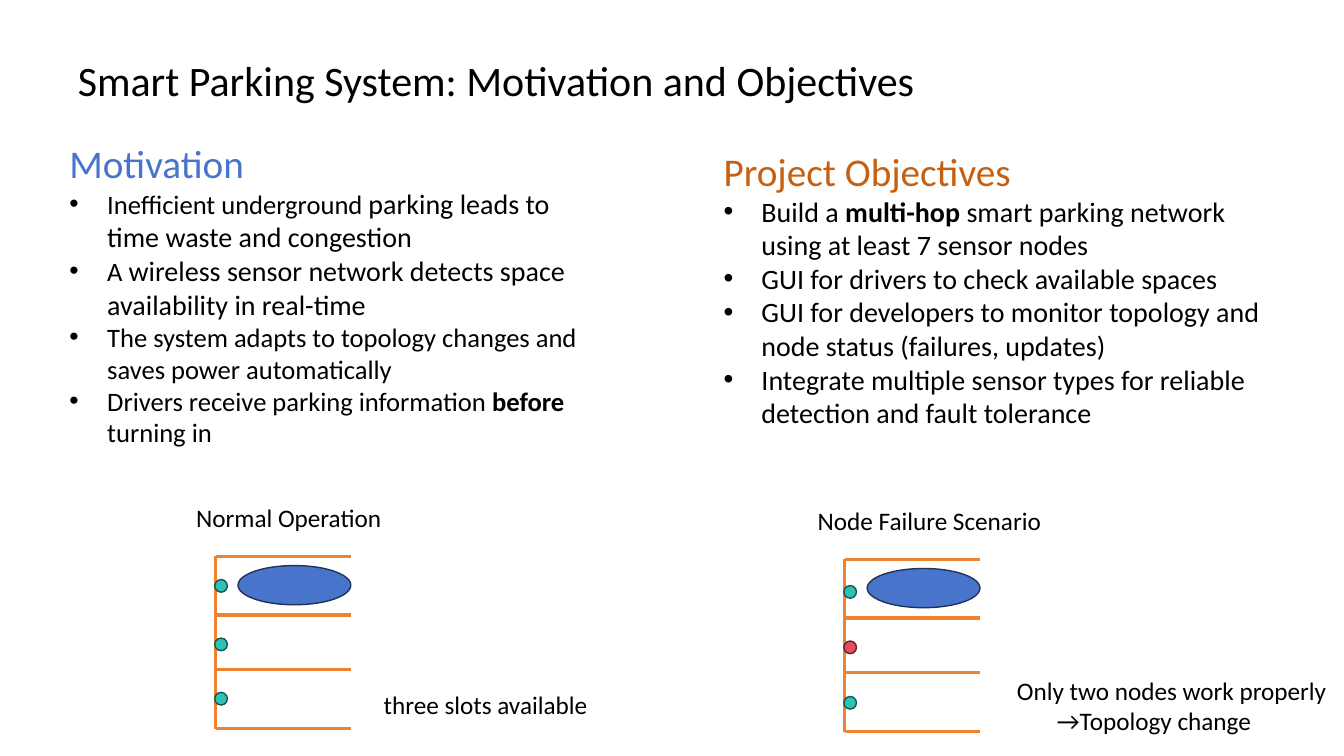
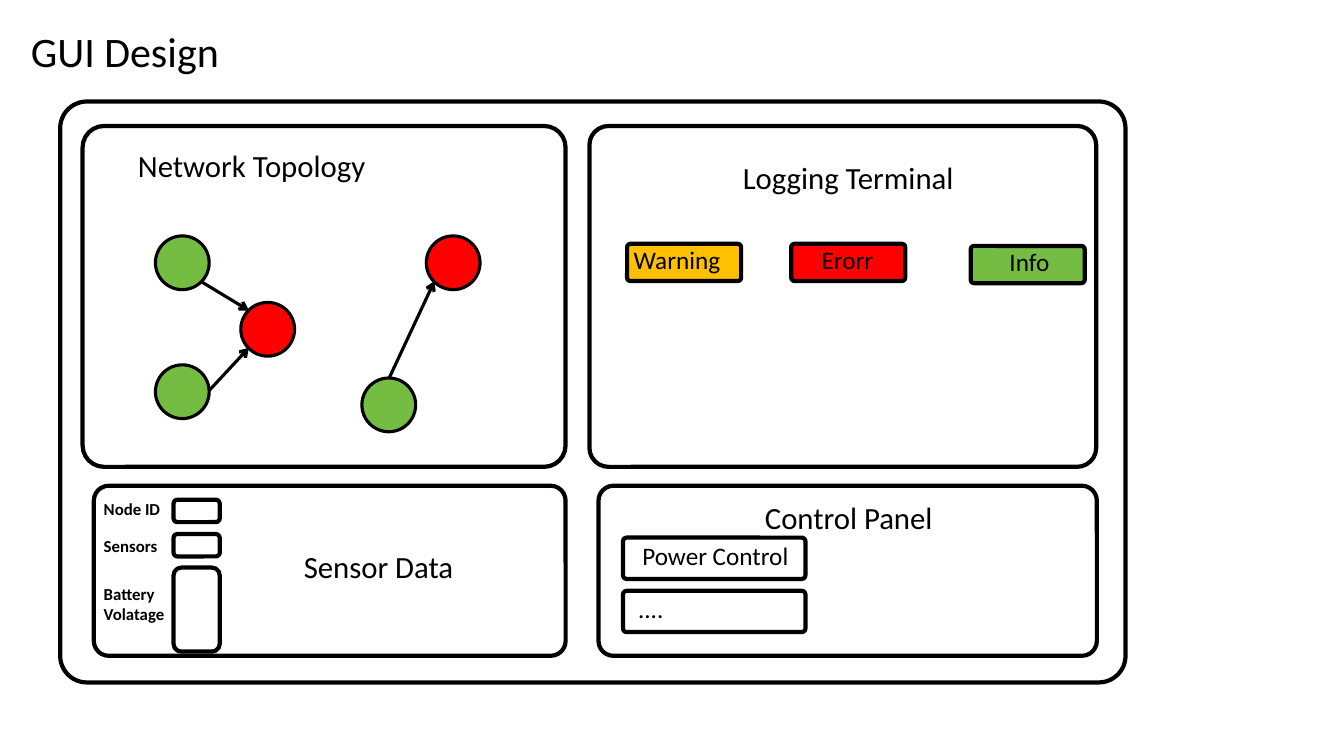
from lxml.etree import SubElement
from pptx import Presentation
from pptx.dml.color import RGBColor
from pptx.enum.shapes import MSO_CONNECTOR, MSO_SHAPE
from pptx.enum.text import MSO_ANCHOR, PP_ALIGN
from pptx.oxml.ns import qn
from pptx.util import Pt

BLACK = RGBColor(0x00, 0x00, 0x00)
BLUE = RGBColor(0x48, 0x74, 0xCB)
NAVY = RGBColor(0x20, 0x33, 0x59)
RUST = RGBColor(0xC6, 0x5F, 0x10)
ORANGE = RGBColor(0xEE, 0x82, 0x2F)
TEAL = RGBColor(0x30, 0xC0, 0xB4)
PINE = RGBColor(0x15, 0x54, 0x4F)
ROSE = RGBColor(0xE5, 0x4C, 0x5E)
WINE = RGBColor(0x64, 0x21, 0x29)
GREEN = RGBColor(0x75, 0xBD, 0x42)
RED = RGBColor(0xFF, 0x00, 0x00)
AMBER = RGBColor(0xFF, 0xC0, 0x00)
FONT = "Calibri"
ROUND = MSO_SHAPE.ROUNDED_RECTANGLE
OVAL = MSO_SHAPE.OVAL


def write(slide, words, x, y, w, h, size, color=BLACK, bold=False):
    box = slide.shapes.add_textbox(Pt(x), Pt(y), Pt(w), Pt(h))
    frame = box.text_frame
    frame.word_wrap = True
    frame.text = words
    for para in frame.paragraphs:
        for run in para.runs:
            run.font.name = FONT
            run.font.size = Pt(size)
            run.font.bold = bold
            run.font.color.rgb = color
    return frame


def draw(slide, kind, x, y, w, h, fill=None, edge=BLACK, width=3, bend=None):
    shape = slide.shapes.add_shape(kind, Pt(x), Pt(y), Pt(w), Pt(h))
    shape.shadow.inherit = False
    if fill is None:
        shape.fill.background()
    else:
        shape.fill.solid()
        shape.fill.fore_color.rgb = fill
    shape.line.color.rgb = edge
    shape.line.width = Pt(width)
    if bend is not None:
        shape.adjustments[0] = bend
    return shape


deck = Presentation()
deck.slide_width = Pt(960)
deck.slide_height = Pt(540)
goals = deck.slides.add_slide(deck.slide_layouts[6])
design = deck.slides.add_slide(deck.slide_layouts[6])

for slide, words, x, y in [
    (goals, "Smart Parking System: Motivation and Objectives", 48.5, 35.3),
    (design, "GUI Design", 15, 15),
]:
    write(slide, words, x, y, 680, 43, 30)

lots = [
    (154, 397.5, [(16.5, TEAL, PINE), (58.3, TEAL, PINE), (97.1, TEAL, PINE)]),
    (603.4, 399.6, [(18.7, TEAL, PINE), (58.3, ROSE, WINE), (97.9, TEAL, PINE)]),
]
lines = []
for x, y, dots in lots:
    for drop in (0, 41.8, 80.6, 123):
        lines.append((goals, x, y + drop, x + 96.5, y + drop, ORANGE))
    lines.append((goals, x, y, x, y + 123, ORANGE))
lines += [
    (design, 143.3, 200.9, 177.8, 221.8, BLACK),
    (design, 149, 279.4, 177.8, 248.4, BLACK),
    (design, 278, 270, 310.3, 200.9, BLACK),
]
for slide, x, y, right, low, color in lines:
    link = slide.shapes.add_connector(
        MSO_CONNECTOR.STRAIGHT, Pt(x), Pt(y), Pt(right), Pt(low))
    link.line.color.rgb = color
    link.line.width = Pt(2.25)
    props = link._element.spPr
    if slide is design:
        SubElement(props.find(qn("a:ln")), qn("a:tailEnd"), type="arrow")
    SubElement(props, qn("a:effectLst"))

for x, y, dots in lots:
    draw(goals, OVAL, x + 16, y + 6.5, 80.6, 28, BLUE, NAVY, 1)
    for drop, fill, edge in dots:
        draw(goals, OVAL, x - 0.6, y + drop, 9, 9, fill, edge, 1)

topics = [
    ("Motivation", BLUE, 42.5, 95.8, 384, 254, [
        [("Inefficient underground ", 19, False),
         ("parking leads to time waste and congestion", 20, False)],
        [("A ", 19, False),
         ("wireless sensor network detects space availability in real-time", 20, False)],
        [("The system adapts to topology changes and saves power automatically", 19, False)],
        [("Drivers receive parking information ", 19, False),
         ("before", 19, True), (" turning in", 19, False)],
    ]),
    ("Project Objectives", RUST, 509.8, 101.5, 403, 211, [
        [("Build a ", 20, False), ("multi-hop ", 20, True),
         ("smart parking network using at least 7 sensor nodes", 20, False)],
        [("GUI for drivers to check available spaces", 20, False)],
        [("GUI for developers to monitor topology and node status (failures, updates)", 20, False)],
        [("Integrate multiple sensor types for reliable detection and fault tolerance", 20, False)],
    ]),
]
for head, color, x, y, w, h, points in topics:
    frame = write(goals, head, x, y, w, h, 28, color)
    for parts in points:
        para = frame.add_paragraph()
        props = para._p.get_or_add_pPr()
        props.set("marL", str(Pt(27)))
        props.set("indent", str(-Pt(27)))
        SubElement(props, qn("a:buFont"), typeface="Arial")
        SubElement(props, qn("a:buChar"), char="•")
        for words, size, bold in parts:
            run = para.add_run()
            run.text = words
            run.font.name = FONT
            run.font.size = Pt(size)
            run.font.bold = bold
            run.font.color.rgb = BLACK

for words, x, y, w in [
    ("Normal Operation", 133, 355.5, 165),
    ("Node Failure Scenario", 577, 357.3, 197),
    ("three slots available", 267, 489, 165),
]:
    write(goals, words, x, y, w, 29, 18)
frame = write(goals, "Only two nodes work properly\n→Topology change", 719.3, 479, 240, 51, 18)
frame.word_wrap = False
frame.paragraphs[1]._p.get_or_add_pPr().set("marL", str(Pt(28.6)))

for x, y, w, h, bend in [
    (43, 72.5, 761, 415, 0.046),
    (59, 90, 345, 243.5, 0.063),
    (421, 90, 362, 243.5, 0.056),
    (67, 347, 337, 121.5, 0.088),
    (427.5, 347, 356, 121.5, 0.088),
]:
    draw(design, ROUND, x, y, w, h, bend=bend)

for words, x, y in [
    ("Network Topology", 91.5, 101),
    ("Logging Terminal", 523.5, 110),
    ("Sensor Data", 210, 388),
    ("Control Panel", 539.3, 353),
]:
    write(design, words, x, y, 200, 39, 22)

for x, y, fill in [
    (111, 168.5, GREEN),
    (111, 260.6, GREEN),
    (172, 216, RED),
    (258.5, 270, GREEN),
    (304.5, 168.5, RED),
]:
    draw(design, OVAL, x, y, 38.4, 38.4, fill, width=2.25)

for words, low, top, h in [
    ("Node ID", 353, 357, 16),
    ("Sensors", 379, 381.5, 16),
    ("Battery Volatage", 413.3, 405.4, 60),
]:
    write(design, words, 67, low, 63.4, 24.5, 12, bold=True)
    draw(design, ROUND, 124, top, 33, h)

for words, x, y, w, h, fill, inset in [
    ("Warning", 448, 174.2, 81.4, 26.6, AMBER, 4),
    ("Erorr", 565.2, 174.2, 81.4, 26.6, RED, 21),
    ("Info", 693.4, 175.7, 81.4, 26.6, GREEN, 27),
    ("Power Control", 445, 384, 130.3, 29.5, None, 13),
    ("....", 445, 422, 130.3, 29.5, None, 10),
]:
    frame = draw(design, ROUND, x, y, w, h, fill, bend=0.088).text_frame
    frame.text = words
    frame.word_wrap = False
    frame.vertical_anchor = MSO_ANCHOR.MIDDLE
    frame.margin_left = Pt(inset)
    frame.margin_right = frame.margin_top = Pt(0)
    frame.margin_bottom = Pt(4)
    para = frame.paragraphs[0]
    para.alignment = PP_ALIGN.LEFT
    font = para.runs[0].font
    font.name = FONT
    font.size = Pt(18)
    font.color.rgb = BLACK

deck.save("out.pptx")
